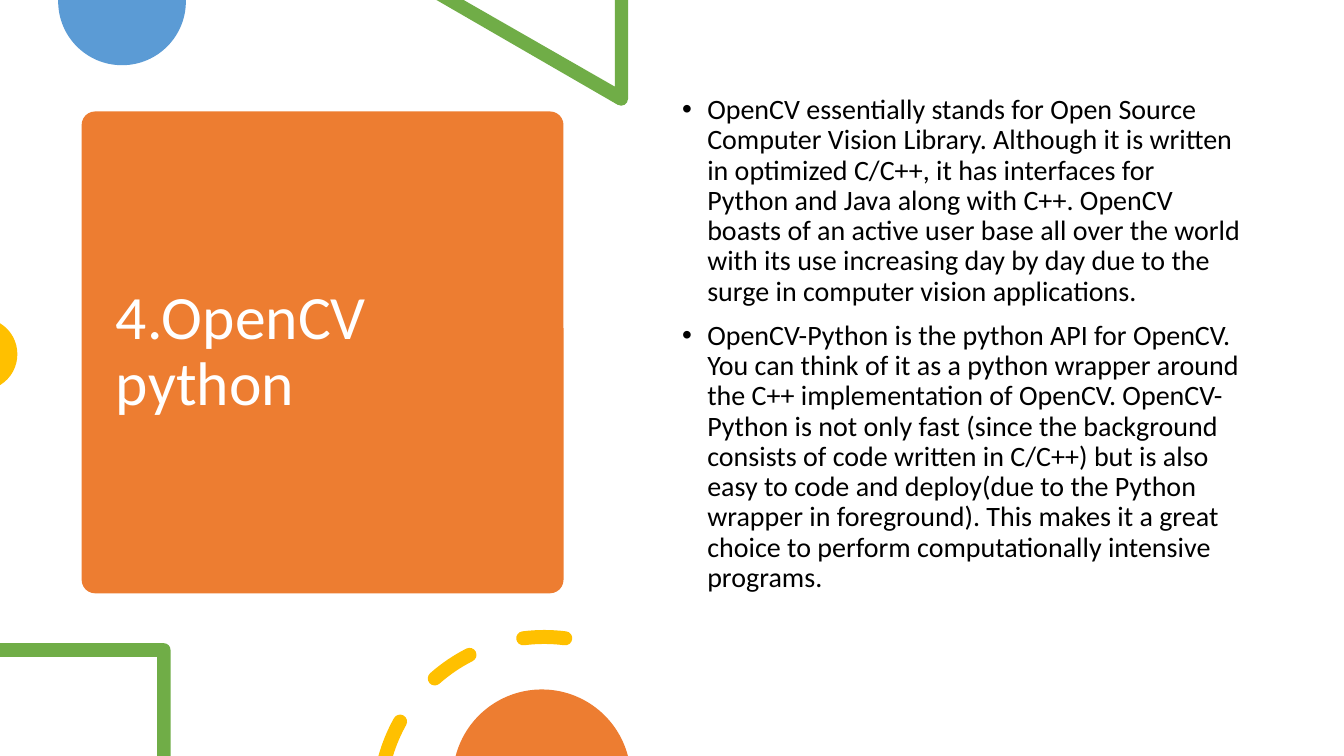
import math
import pptx
import pptx.util
import pptx.dml.color
import pptx.enum.shapes
import pptx.enum.text
import pptx.oxml.ns
import lxml.etree

Pt = pptx.util.Pt
RGB = pptx.dml.color.RGBColor
qn = pptx.oxml.ns.qn
WHITE = RGB(0xFF, 0xFF, 0xFF)
BLACK = RGB(0, 0, 0)
ORANGE = RGB(0xED, 0x7D, 0x31)
BLUE = RGB(0x5B, 0x9B, 0xD5)
GREEN = RGB(0x70, 0xAD, 0x47)
YELLOW = RGB(0xFF, 0xC0, 0x00)

WIDTH, HEIGHT = 960, 540
HEADING = "4.OpenCV python"
POINTS = [
    "OpenCV essentially stands for Open Source Computer Vision Library. Although it is "
    "written in optimized C/C++, it has interfaces for Python and Java along with C++. "
    "OpenCV boasts of an active user base all over the world with its use increasing day "
    "by day due to the surge in computer vision applications.",
    "OpenCV-Python is the python API for OpenCV. You can think of it as a python wrapper "
    "around the C++ implementation of OpenCV. OpenCV-Python is not only fast (since the "
    "background consists of code written in C/C++) but is also easy to code and deploy(due "
    "to the Python wrapper in foreground). This makes it a great choice to perform "
    "computationally intensive programs.",
]
CARD = (58.3, 79.6, 344.2, 344.2)
HEADING_BOX = (75.6, 87.8, 310.3, 328.3)
POINTS_BOX = (480, 64.6, 414, 385.2)

# Dashed ring: angles run clockwise from east, in degrees
RING = (388.8, 573)
RING_RADIUS, DASH_HALF = 118, 5
WHOLE_DASHES = [(228.5, 243.1), (262.7, 277.3)]
CUT_DASH_END = 209.2


# An outline is a list of steps: one point for a line, three for a Bezier curve.
def lines(*points):
    return [(point,) for point in points]


def on_circle(center, radius, angle):
    a = math.radians(angle)
    return center[0] + radius * math.cos(a), center[1] + radius * math.sin(a)


def arc(center, radius, start, end):
    """Line to the start of a circular arc, then one curve per quarter turn or so."""
    count = max(1, round(abs(end - start) / 90))
    turn = (end - start) / count
    reach = 4 / 3 * math.tan(math.radians(turn) / 4) * radius
    steps = lines(on_circle(center, radius, start))
    for index in range(count):
        a = start + turn * index
        b = a + turn
        first, last = on_circle(center, radius, a), on_circle(center, radius, b)
        steps.append((on_circle(first, reach, a + 90), on_circle(last, -reach, b + 90), last))
    return steps


def cap(angle, turn):
    """Half circle that rounds one end of a ring dash."""
    middle = on_circle(RING, RING_RADIUS, angle)
    return arc(middle, DASH_HALF, angle + turn, angle + turn + 180)[1:]


def dash(start, end):
    return (arc(RING, RING_RADIUS + DASH_HALF, start, end) + cap(end, 0)
            + arc(RING, RING_RADIUS - DASH_HALF, end, start)[1:] + cap(start, 180))


def cut_dash(end):
    """Dash whose lower end is cut by the slide's bottom edge."""
    outer, inner = RING_RADIUS + DASH_HALF, RING_RADIUS - DASH_HALF
    outer_start, inner_start = (
        180 + math.degrees(math.asin((RING[1] - HEIGHT) / r)) for r in (outer, inner))
    return (arc(RING, outer, outer_start, end) + cap(end, 0)
            + arc(RING, inner, end, inner_start)[1:])


def edge_circle(center, radius, middle, distance):
    """Part of a circle left visible by an edge; middle is the way it bulges."""
    half = math.degrees(math.acos(-distance / radius))
    return arc(center, radius, middle - half, middle + half)


DECORATIONS = [
    (BLUE, [edge_circle((87.2, 1), 45.6, 90, 1)]),
    (GREEN, [lines((448.6, 0), (439.2, 0), (439.2, 61.9), (331.2, 0), (311.8, 0))
             + arc((443.7, 70.6), 4.9, 120, 0)]),
    (YELLOW, [edge_circle((-13.5, 253), 25.9, 0, -13.5)]),
    (GREEN, [lines((0, 459.4)) + arc((117, 464.2), 4.8, 270, 360)
             + lines((121.8, HEIGHT), (112.3, HEIGHT), (112.3, 469.2), (0, 469.2))]),
    (YELLOW, [cut_dash(CUT_DASH_END)] + [dash(*span) for span in WHOLE_DASHES]),
    (ORANGE, [edge_circle((387, 556.1), 63.6, 270, -16.1)]),
]


def paint(shape, color):
    shape.shadow.inherit = False
    shape.fill.solid()
    shape.fill.fore_color.rgb = color
    shape.line.fill.background()


def draw_outlines(slide, color, outlines):
    """Draw steps as line segments, then join each group of three into a curve."""
    builder = None
    for outline in outlines:
        points = [(Pt(x), Pt(y)) for step in outline for x, y in step]
        if builder is None:
            builder = slide.shapes.build_freeform(*points[0], scale=1.0)
        else:
            builder.move_to(*points[0])
        builder.add_line_segments(points[1:], close=True)
    shape = builder.convert_to_shape()
    paint(shape, color)

    segments = iter(list(shape.element.iter(qn("a:lnTo"))))
    for step in (step for outline in outlines for step in outline[1:]):
        group = [next(segments) for _ in step]
        if len(group) == 3:
            curve = lxml.etree.Element(qn("a:cubicBezTo"))
            group[0].addprevious(curve)
            for segment in group:
                curve.append(segment[0])
                segment.getparent().remove(segment)


def fill_text(holder, box, texts, anchor, font_format, paragraph_format):
    holder.left, holder.top, holder.width, holder.height = map(Pt, box)
    frame = holder.text_frame
    frame.word_wrap = True
    frame.auto_size = pptx.enum.text.MSO_AUTO_SIZE.NONE
    frame.vertical_anchor = anchor
    for index, text in enumerate(texts):
        paragraph = frame.add_paragraph() if index else frame.paragraphs[0]
        run = paragraph.add_run()
        run.text = text
        run.font.color.rgb = font_format["color"]
        for name in ("name", "size"):
            setattr(run.font, name, font_format[name])
        for name, value in paragraph_format.items():
            setattr(paragraph, name, value)


def add_bullet(paragraph):
    properties = paragraph._p.get_or_add_pPr()
    properties.set("marL", str(Pt(18)))
    properties.set("indent", str(-Pt(18)))
    for tag, key, value in (("a:buFont", "typeface", "Arial"), ("a:buChar", "char", "•")):
        lxml.etree.SubElement(properties, qn(tag)).set(key, value)


def main():
    deck = pptx.Presentation()
    deck.slide_width, deck.slide_height = Pt(WIDTH), Pt(HEIGHT)
    slide = deck.slides.add_slide(deck.slide_layouts[1])
    slide.background.fill.solid()
    slide.background.fill.fore_color.rgb = WHITE
    heading, points = slide.placeholders

    card = slide.shapes.add_shape(
        pptx.enum.shapes.MSO_SHAPE.ROUNDED_RECTANGLE, *map(Pt, CARD))
    card.adjustments[0] = 0.028
    paint(card, ORANGE)
    heading.element.addprevious(card.element)

    left = pptx.enum.text.PP_ALIGN.LEFT
    anchors = pptx.enum.text.MSO_ANCHOR
    fill_text(heading, HEADING_BOX, [HEADING], anchors.MIDDLE,
              {"name": "Calibri", "size": Pt(44), "color": WHITE},
              {"alignment": left, "line_spacing": 0.9, "space_before": Pt(0)})
    fill_text(points, POINTS_BOX, POINTS, anchors.TOP,
              {"name": "Calibri", "size": Pt(20), "color": BLACK},
              {"alignment": left, "line_spacing": 0.9, "space_before": Pt(10)})
    for paragraph in points.text_frame.paragraphs:
        add_bullet(paragraph)

    for color, outlines in DECORATIONS:
        draw_outlines(slide, color, outlines)
    deck.save("out.pptx")


if __name__ == "__main__":
    main()
